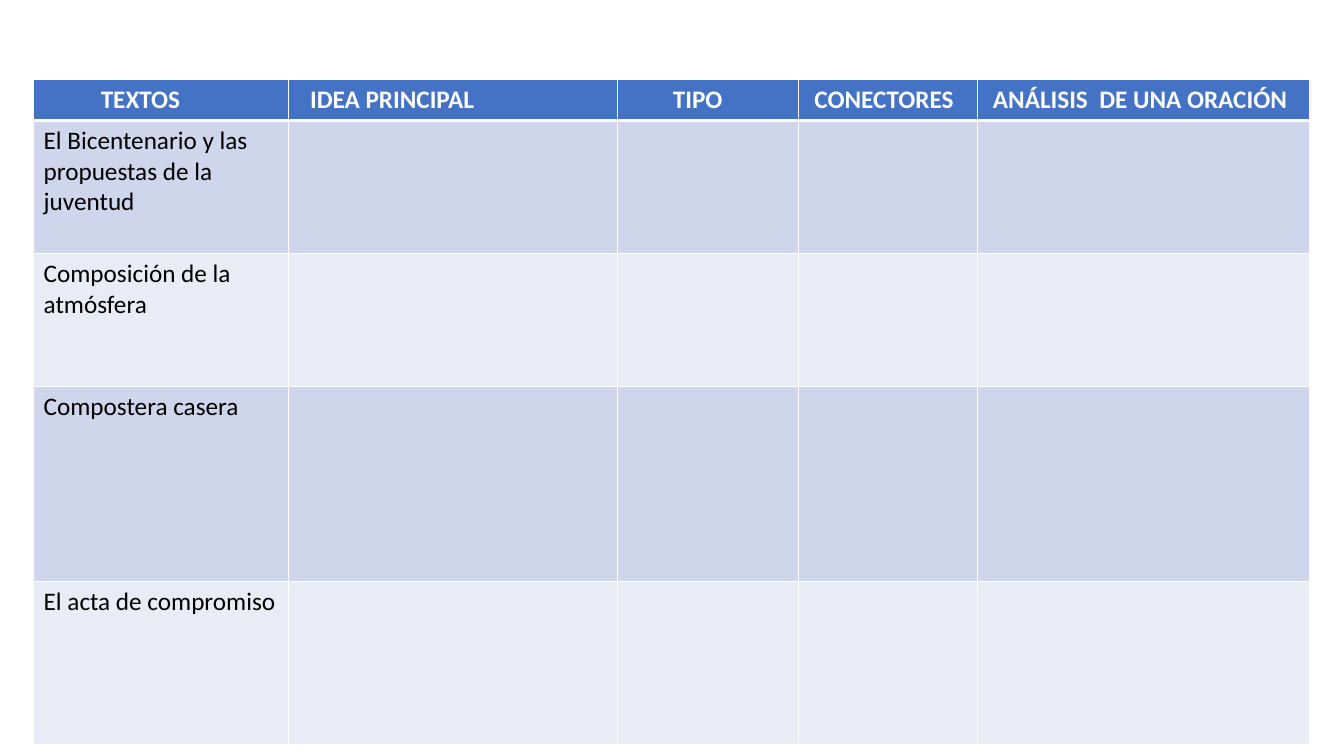
from lxml.etree import SubElement
from pptx import Presentation
from pptx.dml.color import RGBColor
from pptx.oxml.ns import qn
from pptx.util import Pt

COLORS = {"header": "4472C4", "odd": "CFD5EA", "even": "E9EBF5",
          "white": "FFFFFF", "black": "000000"}
HEADERS = [("TEXTOS", 48), ("IDEA PRINCIPAL", 15.3), ("TIPO", 39.8),
           ("CONECTORES", 11.3), ("ANÁLISIS  DE UNA ORACIÓN", 11.3)]
TEXTS = ["El Bicentenario y las propuestas de la juventud",
         "Composición de la atmósfera", "Compostera casera",
         "El acta de compromiso"]
COL_WIDTHS = [182.2, 234.7, 129.6, 127.5, 237.6]
ROW_HEIGHTS = [29, 95, 95, 139.3, 116.4]


def rgb(name):
    return RGBColor.from_string(COLORS[name])


def set_borders(cell, bottom, top):
    tc_pr = cell._tc.get_or_add_tcPr()
    for side, width in (("L", 1), ("R", 1), ("T", top), ("B", bottom)):
        ln = SubElement(tc_pr, qn(f"a:ln{side}"), w=str(Pt(width)))
        fill = SubElement(ln, qn("a:solidFill"))
        SubElement(fill, qn("a:srgbClr"), val=COLORS["white"])


def style_cell(cell, row):
    set_borders(cell, 3 if row == 0 else 1, 3 if row == 1 else 1)
    cell.fill.solid()
    band = "header" if row == 0 else "odd" if row % 2 else "even"
    cell.fill.fore_color.rgb = rgb(band)


def add_text(cell, text, color, bold, indent=7.2):
    cell.margin_left = Pt(indent)
    p = cell.text_frame.paragraphs[0]
    r = p.add_run()
    r.text = text
    r.font.name = "Calibri"
    r.font.size = Pt(18)
    r.font.bold = bold
    r.font.color.rgb = rgb(color)


def add_text_table(slide, left, top, width, height):
    sp = slide.shapes.add_table(len(ROW_HEIGHTS), len(COL_WIDTHS),
                                Pt(left), Pt(top), Pt(width), Pt(height))
    table = sp.table
    for col, share in zip(table.columns, COL_WIDTHS):
        col.width = Pt(width * share / sum(COL_WIDTHS))
    for row, share in zip(table.rows, ROW_HEIGHTS):
        row.height = Pt(height * share / sum(ROW_HEIGHTS))
    for i, row in enumerate(table.rows):
        for cell in row.cells:
            style_cell(cell, i)
    for j, (text, indent) in enumerate(HEADERS):
        add_text(table.cell(0, j), text, "white", True, indent)
    for i, text in enumerate(TEXTS, 1):
        add_text(table.cell(i, 0), text, "black", False)


prs = Presentation()
prs.slide_width, prs.slide_height = Pt(960), Pt(540)
slide = prs.slides.add_slide(prs.slide_layouts[6])
add_text_table(slide, 24, 56.8, sum(COL_WIDTHS), sum(ROW_HEIGHTS))
prs.save("out.pptx")
